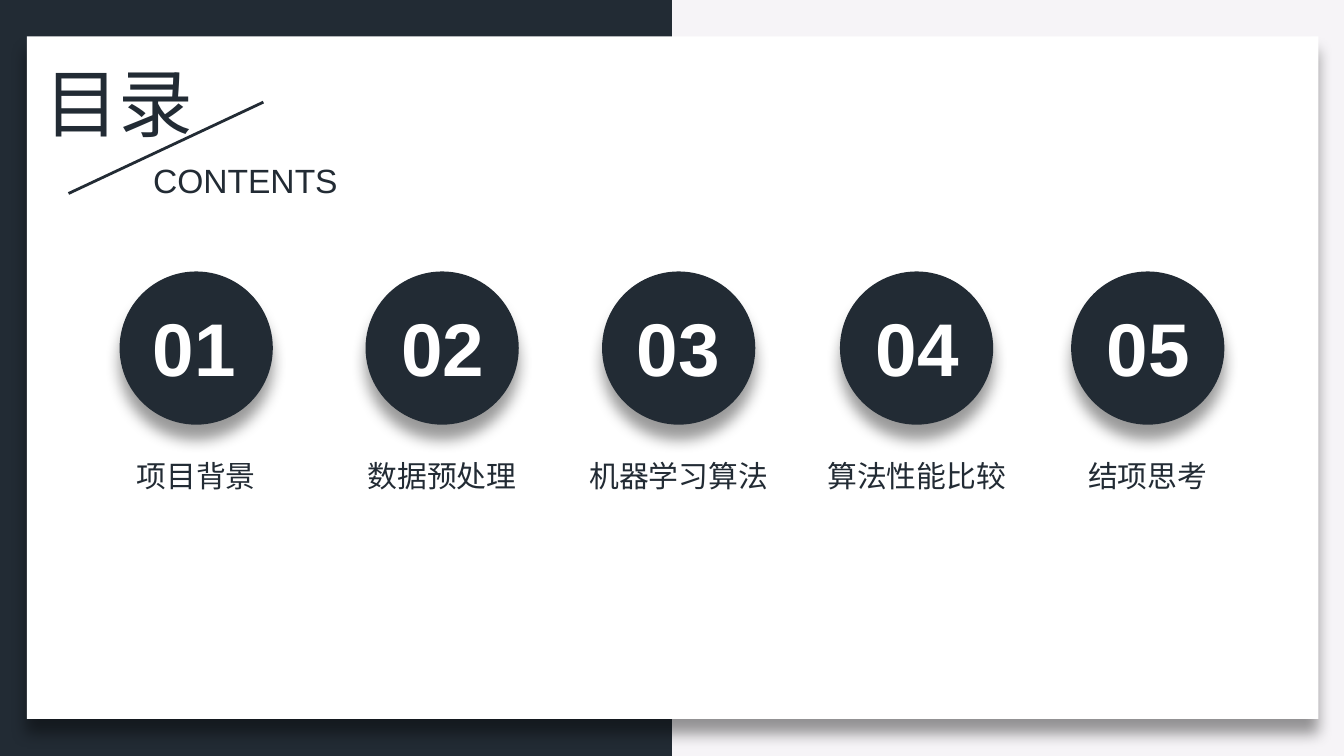
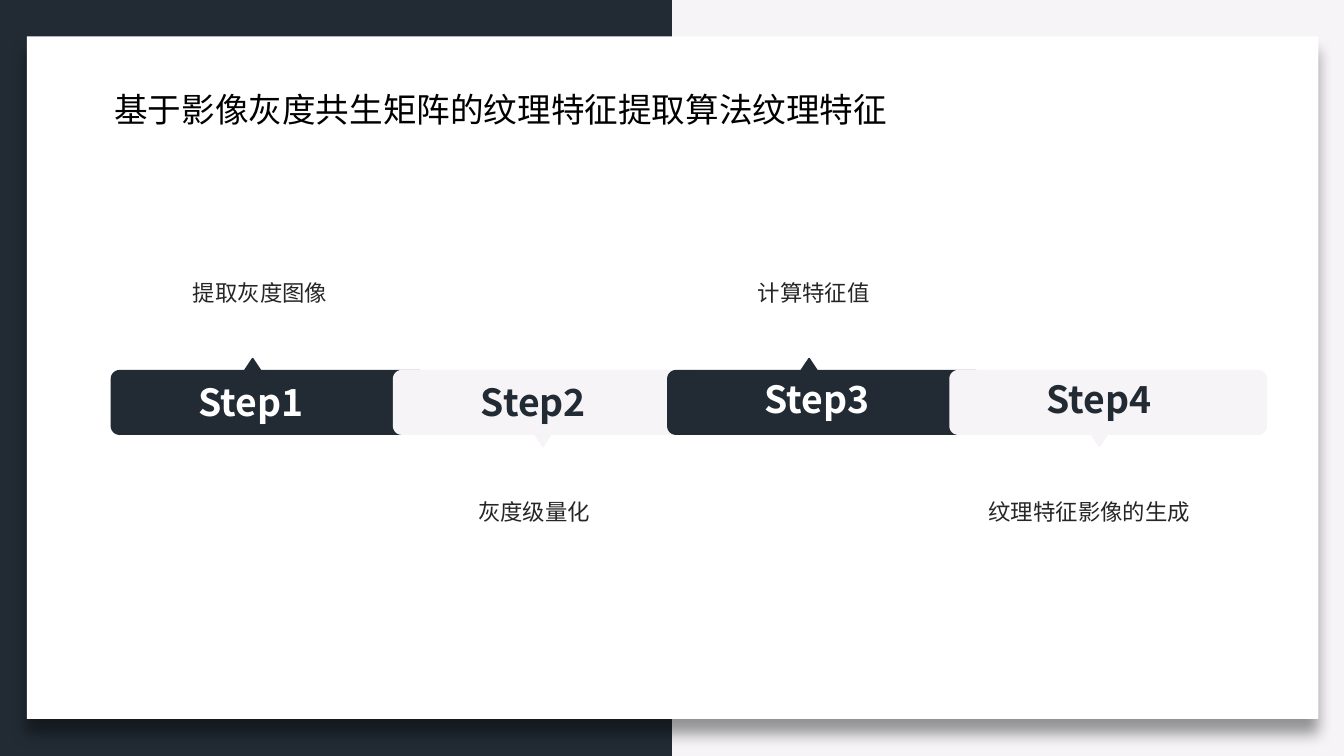
from math import cos, pi, sin

from lxml.etree import SubElement
from pptx import Presentation
from pptx.dml.color import RGBColor
from pptx.enum.shapes import MSO_CONNECTOR, MSO_SHAPE
from pptx.enum.text import MSO_ANCHOR, MSO_AUTO_SIZE, PP_ALIGN
from pptx.oxml.ns import qn
from pptx.util import Inches, Pt

COLORS = {"navy": "222B34", "mist": "F6F4F7", "white": "FFFFFF",
          "black": "000000", "caption": "262626"}
CJK = "Noto Sans CJK SC"

CONTENTS_TITLE = "目录"
CONTENTS_SUBTITLE = "CONTENTS"
CHAPTERS = [("项目背景", 0.89, 1.03), ("数据预处理", 2.72, 2.88), ("机器学习算法", 4.48, 4.63),
            ("算法性能比较", 6.25, 6.41), ("结项思考", 7.97, 8.13)]
STEPS_TITLE = "基于影像灰度共生矩阵的纹理特征提取算法纹理特征"
STEPS = [
    {"name": "Step1", "caption": "提取灰度图像", "name_at": (1.38, 2.77), "caption_left": 0.99},
    {"name": "Step2", "caption": "灰度级量化", "name_at": (3.48, 2.77), "caption_left": 3.03},
    {"name": "Step3", "caption": "计算特征值", "name_at": (5.59, 2.75), "caption_left": 5.11},
    {"name": "Step4", "caption": "纹理特征影像的生成", "name_at": (7.69, 2.75), "caption_left": 7.16},
]

SLIDE_WIDTH = 10
SLIDE_HEIGHT = SLIDE_WIDTH * 9 / 16
CIRCLE_TOP, CIRCLE_SIZE = 2.02, 1.14
NUMBER_TOP, NUMBER_WIDTH = 2.2, 0.83
CHAPTER_TOP = 3.36
BAR_TOP, BAR_WIDTH, BAR_HEIGHT, BAR_RADIUS = 2.76, 2.35, 0.47, 0.06
BAR_LEFT, PAIR_PITCH, PAIR_OFFSET = 0.83, 4.14, 2.1
POINTER_HEIGHT, POINTER_HALF = 0.09, 0.06


def color(name):
    return RGBColor.from_string(COLORS[name])


def write(holder, text, size, font, ink, bold=False, align=PP_ALIGN.LEFT,
          wrap=False, spacing=None):
    frame = holder.text_frame
    frame.text = text
    frame.word_wrap = wrap
    frame.auto_size = MSO_AUTO_SIZE.SHAPE_TO_FIT_TEXT
    frame.vertical_anchor = MSO_ANCHOR.TOP
    paragraph = frame.paragraphs[0]
    paragraph.alignment = align
    if spacing:
        paragraph.line_spacing = spacing
    run = paragraph.runs[0]
    run.font.size = Pt(size)
    run.font.name = font
    run.font.bold = bold
    run.font.color.rgb = color(ink)
    SubElement(run.font._element, qn("a:ea"), typeface=CJK)


def add_text(slide, at, *args, **kwargs):
    write(slide.shapes.add_textbox(*map(Inches, at)), *args, **kwargs)


def set_title(slide, at, *args, **kwargs):
    title = slide.shapes.title
    title.left, title.top, title.width, title.height = map(Inches, at)
    write(title, *args, **kwargs)


def add_block(slide, preset, at, fill, shadow=False):
    block = slide.shapes.add_shape(preset, *map(Inches, at))
    block.fill.solid()
    block.fill.fore_color.rgb = color(fill)
    block.line.fill.background()
    block.shadow.inherit = False
    if shadow:
        effects = block.element.spPr.find(qn("a:effectLst"))
        outer = SubElement(effects, qn("a:outerShdw"), blurRad=str(Pt(8)), dist=str(Pt(8)),
                           dir="5400000", algn="t", rotWithShape="0")
        tint = SubElement(outer, qn("a:srgbClr"), val=COLORS["black"])
        SubElement(tint, qn("a:alpha"), val="40000")
    return block


def move_backdrop_to_master(slide, master):
    master.background.fill.solid()
    master.background.fill.fore_color.rgb = color("mist")
    band = add_block(slide, MSO_SHAPE.RECTANGLE, (0, 0, SLIDE_WIDTH / 2, SLIDE_HEIGHT), "navy")
    card = add_block(slide, MSO_SHAPE.RECTANGLE, (0.2, 0.27, 9.61, 5.08), "white", shadow=True)
    for position, part in enumerate((band, card), start=2):
        master.shapes.element.insert(position, part.element)


def add_slash(slide):
    slash = slide.shapes.add_connector(
        MSO_CONNECTOR.STRAIGHT, *map(Inches, (1.96, 0.76, 0.51, 1.44)))
    slash.line.color.rgb = color("navy")
    slash.line.width = Pt(1.5)
    SubElement(slash.element.spPr, qn("a:effectLst"))


def corner(center_x, center_y, start):
    angles = [start + pi / 2 * step / 6 for step in range(7)]
    return [(center_x + BAR_RADIUS * cos(angle), center_y + BAR_RADIUS * sin(angle))
            for angle in angles]


def add_step_bar(slide, left, upward, fill):
    right, bottom = left + BAR_WIDTH, BAR_TOP + BAR_HEIGHT
    tip = left + (1.05 if upward else 1.11)
    edge = BAR_TOP if upward else bottom
    side = -1 if upward else 1
    pointer = [(tip + side * POINTER_HALF, edge), (tip, edge + side * POINTER_HEIGHT),
               (tip - side * POINTER_HALF, edge)]
    inner_left, inner_right = left + BAR_RADIUS, right - BAR_RADIUS
    inner_top, inner_bottom = BAR_TOP + BAR_RADIUS, bottom - BAR_RADIUS
    outline = (corner(inner_left, inner_top, pi)
               + (pointer if upward else [])
               + corner(inner_right, inner_top, 1.5 * pi)
               + corner(inner_right, inner_bottom, 0)
               + ([] if upward else pointer)
               + corner(inner_left, inner_bottom, pi / 2))
    points = [(Inches(x), Inches(y)) for x, y in outline]
    builder = slide.shapes.build_freeform(*points[0])
    builder.add_line_segments(points[1:], close=True)
    bar = builder.convert_to_shape()
    bar.fill.solid()
    bar.fill.fore_color.rgb = color(fill)
    bar.line.color.rgb = color(fill)
    bar.line.width = Pt(1)
    bar.shadow.inherit = False


def build_contents(slide):
    set_title(slide, (0.23, 0.37, 1.32, 0.77), CONTENTS_TITLE, 40, "Calibri", "navy")
    add_slash(slide)
    add_text(slide, (1.04, 1.14, 1.59, 0.4), CONTENTS_SUBTITLE, 18, "Arial", "navy")
    for number, (chapter, left, number_left) in enumerate(CHAPTERS, start=1):
        center = left + CIRCLE_SIZE / 2
        add_block(slide, MSO_SHAPE.OVAL, (left, CIRCLE_TOP, CIRCLE_SIZE, CIRCLE_SIZE),
                  "navy", shadow=True)
        add_text(slide, (number_left, NUMBER_TOP, NUMBER_WIDTH, 0.77),
                 f"{number:02}", 40, "Arial", "white", bold=True, align=PP_ALIGN.CENTER)
        width = 0.2 + len(chapter) * 16 / 72
        add_text(slide, (center - width / 2, CHAPTER_TOP, width, 0.37),
                 chapter, 16, CJK, "navy", align=PP_ALIGN.CENTER)


def build_steps(slide):
    set_title(slide, (0.75, 0.61, 6.02, 0.4), STEPS_TITLE, 18, "Calibri", "black", wrap=True)
    for index, step in enumerate(STEPS):
        pair, second = divmod(index, 2)
        upward = not second
        fill, ink = ("navy", "white") if upward else ("mist", "navy")
        add_step_bar(slide, BAR_LEFT + pair * PAIR_PITCH + second * PAIR_OFFSET, upward, fill)
        add_text(slide, (*step["name_at"], 1, 0.44), step["name"], 20, CJK, ink, bold=True)
        add_text(slide, (step["caption_left"], 1.93 if upward else 3.56, 1.89, 0.4),
                 step["caption"], 12, "Calibri", "caption",
                 align=PP_ALIGN.CENTER, wrap=True, spacing=1.5)


def main():
    deck = Presentation()
    deck.slide_width, deck.slide_height = Inches(SLIDE_WIDTH), Inches(SLIDE_HEIGHT)
    title_only = deck.slide_layouts[5]
    contents = deck.slides.add_slide(title_only)
    move_backdrop_to_master(contents, deck.slide_master)
    build_contents(contents)
    build_steps(deck.slides.add_slide(title_only))
    deck.save("out.pptx")


if __name__ == "__main__":
    main()
